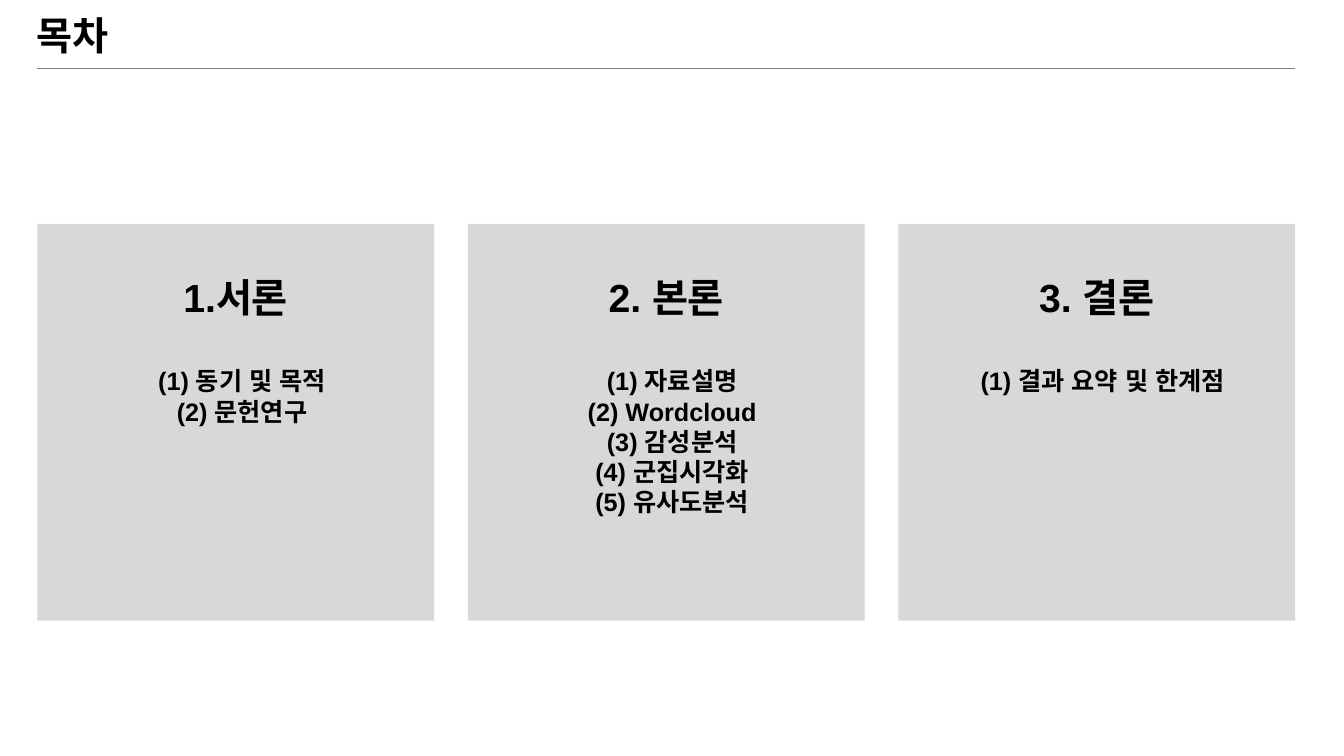
from lxml import etree
from pptx import Presentation
from pptx.dml.color import RGBColor
from pptx.enum import lang, shapes, text
from pptx.oxml import ns
from pptx.util import Cm, Pt

COLORS = {"ink": "000000", "card": "D8D8D8", "rule": "7F7F7F"}
FONT = "Arial"
HEADING_SIZE, ITEM_SIZE = 28, 18
MARGIN, CONTENT_WIDTH, CARD_SIZE = 0.94, 31.7, 10
SECTIONS = [
    ("서론", ["동기 및 목적", "문헌연구"], True),
    ("2. 본론", ["(1) 자료설명", "(2) Wordcloud", "(3) 감성분석",
               "(4) 군집시각화", "(5) 유사도분석"], False),
    ("3. 결론", ["(1) 결과 요약 및 한계점"], False),
]


def color(name):
    """Return a named colour."""
    return RGBColor.from_string(COLORS[name])


def format_paragraph(paragraph, size, alignment):
    """Apply the slide's bold type to a paragraph."""
    paragraph.alignment = alignment
    for run in paragraph.runs:
        font = run.font
        font.name, font.size, font.bold = FONT, Pt(size), True
        font.color.rgb = color("ink")
        font.language_id = lang.MSO_LANGUAGE_ID.KOREAN
        east_asian = etree.SubElement(run._r.get_or_add_rPr(), ns.qn("a:ea"))
        east_asian.set("typeface", FONT)


def indent(paragraph, left, first):
    """Set the left margin and first-line indent in centimetres."""
    properties = paragraph._p.get_or_add_pPr()
    properties.set("marL", str(Cm(left)))
    properties.set("indent", str(Cm(first)))


def number(paragraph, style):
    """Turn on automatic numbering in the ink colour."""
    properties = paragraph._p.get_or_add_pPr()
    bullet_color = etree.SubElement(properties, ns.qn("a:buClr"))
    etree.SubElement(bullet_color, ns.qn("a:srgbClr")).set("val", COLORS["ink"])
    etree.SubElement(properties, ns.qn("a:buAutoNum")).set("type", style)


def add_header(slide, left, top, width):
    """Place the title and the rule beneath it."""
    title = slide.shapes.title
    title.left, title.top = Cm(left - 0.28), Cm(top)
    title.width, title.height = Cm(13.69), Cm(1.45)
    frame = title.text_frame
    frame.text = "목차"
    frame.word_wrap = True
    frame.auto_size = text.MSO_AUTO_SIZE.NONE
    frame.vertical_anchor = text.MSO_ANCHOR.MIDDLE
    format_paragraph(frame.paragraphs[0], HEADING_SIZE, text.PP_ALIGN.LEFT)
    rule_y = Cm(top + 1.58)
    rule = slide.shapes.add_connector(
        shapes.MSO_CONNECTOR.STRAIGHT, Cm(left), rule_y, Cm(left + width), rule_y)
    rule.line.color.rgb = color("rule")
    rule.line.width = Pt(0.75)
    etree.SubElement(rule._element.spPr, ns.qn("a:effectLst"))


def add_card(slide, left, top, size, heading, items, numbered):
    """Place one section card with its heading and items."""
    card = slide.shapes.add_shape(
        shapes.MSO_SHAPE.RECTANGLE, Cm(left), Cm(top), Cm(size), Cm(size))
    card.shadow.inherit = False
    card.fill.solid()
    card.fill.fore_color.rgb = color("card")
    card.line.fill.background()
    frame = card.text_frame
    frame.word_wrap = True
    frame.vertical_anchor = text.MSO_ANCHOR.TOP
    frame.margin_top = Cm(1.26)
    frame.text = "\n".join([heading, *items])
    first, *rest = frame.paragraphs
    format_paragraph(first, HEADING_SIZE, text.PP_ALIGN.CENTER)
    rest[0].space_before = Pt(32)
    for paragraph in rest:
        paragraph.level = 1
        format_paragraph(paragraph, ITEM_SIZE, text.PP_ALIGN.CENTER)
        indent(paragraph, *((1.27, -0.95) if numbered else (0.3, 0)))
    if numbered:
        number(first, "arabicPeriod")
        for paragraph in rest:
            number(paragraph, "arabicParenBoth")


def add_contents(slide, left, top, width):
    """Spread the section cards evenly across the width."""
    pitch = (width - CARD_SIZE) / (len(SECTIONS) - 1)
    for index, section in enumerate(SECTIONS):
        add_card(slide, left + index * pitch, top, CARD_SIZE, *section)


def main():
    """Build and save the contents slide."""
    presentation = Presentation()
    presentation.slide_width, presentation.slide_height = Cm(33.87), Cm(19.05)
    slide = presentation.slides.add_slide(presentation.slide_layouts[5])
    add_header(slide, MARGIN, 0.15, CONTENT_WIDTH)
    add_contents(slide, MARGIN, 5.64, CONTENT_WIDTH)
    presentation.save("out.pptx")


main()
